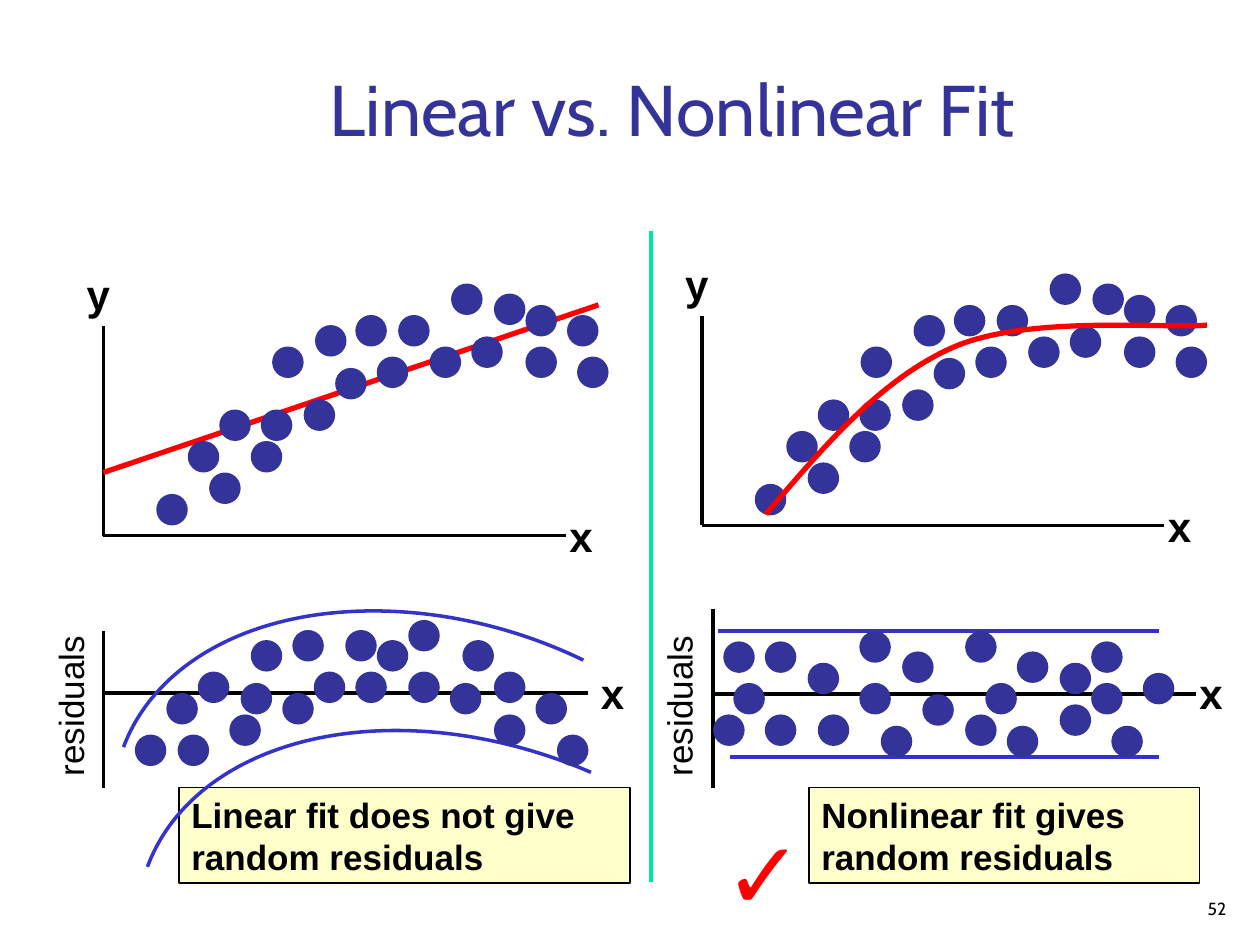
from dataclasses import dataclass

from lxml.etree import SubElement
from pptx import Presentation
from pptx.dml.color import RGBColor
from pptx.enum.shapes import MSO_CONNECTOR, MSO_SHAPE
from pptx.enum.text import MSO_ANCHOR, PP_ALIGN
from pptx.oxml.ns import qn
from pptx.util import Inches, Pt


@dataclass(frozen=True)
class Theme:
    black: str = "000000"
    navy: str = "333399"
    blue: str = "3333CC"
    red: str = "FF0000"
    green: str = "00E4A8"
    cream: str = "FFFFCC"
    body: str = "Arial"
    head: str = "Cabin"
    title: int = 41
    check: int = 54
    axis: int = 24
    note: int = 20
    page: int = 10


THEME = Theme()
DOT = 0.25

# Left and top of each dot
FIT_DOTS = [
    (1.24, 3.92), (1.66, 3.75), (3.16, 2.5), (3.41, 2.75), (3.92, 2.33),
    (1.99, 3.5), (3.74, 2.67), (4.17, 2.75), (4.17, 2.42), (4.5, 2.5),
    (3.58, 2.25), (2.66, 2.92), (2.82, 2.5), (2.5, 2.58), (1.49, 3.5),
    (1.74, 3.25), (2.07, 3.25), (2.99, 2.83), (4.58, 2.83), (2.41, 3.17),
]
CURVED_DOTS = [
    (1.07, 5.83), (1.41, 5.83), (2.99, 5.08), (3.24, 4.92), (3.57, 5.42),
    (1.82, 5.67), (3.67, 5.08), (3.92, 5.67), (3.92, 5.33), (4.25, 5.5),
    (3.24, 5.33), (2.49, 5.33), (2.74, 5), (2.32, 5), (1.32, 5.5),
    (1.57, 5.33), (1.91, 5.42), (2.82, 5.33), (1.99, 5.08), (4.42, 5.83),
    (2.24, 5.5),
]
RANDOM_DOTS = [
    (6.41, 5.26), (6.07, 5.09), (5.66, 5.67), (5.82, 5.42), (5.74, 5.09),
    (6.82, 5.42), (6.82, 5.01), (6.07, 5.67), (7.66, 5.01), (7.16, 5.17),
    (6.99, 5.76), (6.49, 5.67), (8.41, 5.26), (7.66, 5.67), (7.32, 5.51),
    (8.41, 5.59), (7.82, 5.42), (7.99, 5.76), (8.07, 5.17), (8.82, 5.76),
    (8.66, 5.09), (9.07, 5.34), (8.66, 5.42),
]
BANDS = [
    [(0.98, 5.93), (1.18, 5.4), (1.7, 5.03), (2.39, 4.9),
     (3.09, 4.77), (3.91, 4.89), (4.63, 5.24)],
    [(1.17, 6.88), (1.36, 6.37), (1.85, 6), (2.52, 5.86),
     (3.19, 5.72), (3.97, 5.82), (4.69, 6.13)],
]
FIT_CURVE = [(6.08, 4.08), (6.54, 3.54), (7, 3), (7.58, 2.75),
             (8.17, 2.5), (9.25, 2.61), (9.58, 2.58)]


def rgb(color):
    return RGBColor.from_string(color)


def stroke(shape, color, width):
    shape.line.color.rgb = rgb(color)
    shape.line.width = Pt(width)


def write(shape, text, size, color=THEME.black, font=THEME.body, bold=False,
          align=PP_ALIGN.LEFT, anchor=MSO_ANCHOR.TOP):
    frame = shape.text_frame
    frame.word_wrap = True
    frame.vertical_anchor = anchor
    para = frame.paragraphs[0]
    para.text = text
    para.alignment = align
    para.font.name = font
    para.font.size = Pt(size)
    para.font.bold = bold
    para.font.color.rgb = rgb(color)


def add_text(slide, box, text, size, **style):
    shape = slide.shapes.add_textbox(*map(Inches, box))
    write(shape, text, size, **style)
    return shape


def add_note(slide, box, text):
    shape = slide.shapes.add_shape(MSO_SHAPE.RECTANGLE, *map(Inches, box))
    shape.shadow.inherit = False
    shape.fill.solid()
    shape.fill.fore_color.rgb = rgb(THEME.cream)
    stroke(shape, THEME.black, 1)
    write(shape, text, THEME.note, bold=True)


def add_line(slide, start, end, color=THEME.black, width=2):
    line = slide.shapes.add_connector(
        MSO_CONNECTOR.STRAIGHT, *map(Inches, (*start, *end)))
    stroke(line, color, width)
    SubElement(line._element.spPr, qn("a:effectLst"))


def add_curve(slide, points, color, width):
    """Draw joined cubic curves: a start, then two controls and an end each."""
    start, *rest = [(Inches(x), Inches(y)) for x, y in points]
    pen = slide.shapes.build_freeform(*start)
    pen.add_line_segments(rest, close=False)
    curve = pen.convert_to_shape()
    curve.shadow.inherit = False
    curve.fill.background()
    stroke(curve, color, width)
    steps = list(curve._element.iter(qn("a:lnTo")))
    track = steps[0].getparent()
    for i in range(0, len(steps), 3):
        bend = SubElement(track, qn("a:cubicBezTo"))
        for step in steps[i:i + 3]:
            bend.append(step[0])
            track.remove(step)


def add_dots(slide, spots):
    for x, y in spots:
        dot = slide.shapes.add_shape(
            MSO_SHAPE.OVAL, *map(Inches, (x, y, DOT, DOT)))
        dot.shadow.inherit = False
        dot.fill.solid()
        dot.fill.fore_color.rgb = rgb(THEME.navy)
        dot.line.fill.background()


def add_label(slide, x, y, text):
    add_text(slide, (x, y, 0.44, 0.5), text, THEME.axis, bold=True)


def add_axes(slide, dx, dy):
    """Draw the axes of a fit plot, moved by dx and dy from the left one."""
    x, top, base = 0.82 + dx, 2.59 + dy, 4.25 + dy
    add_line(slide, (x, top), (x, base))
    add_line(slide, (x, base), (x + 3.67, base))
    add_label(slide, x - 0.23, top - 0.51, "y")
    add_label(slide, x + 3.6, base - 0.25, "x")


def add_rest(slide, x, top, mid, end, name, mark):
    """Draw the axes of a residual plot; name and mark are label lefts."""
    add_line(slide, (x, top), (x, 6.25))
    add_line(slide, (x, mid), (end, mid))
    label = add_text(slide, (name, 5.33, 1.43, 0.43), "residuals", THEME.note)
    label.rotation = 270
    add_label(slide, mark, 5.25, "x")


def draw_left(slide):
    add_note(slide, (1.42, 6.25, 3.58, 0.76),
             "Linear fit does not give random residuals")
    add_rest(slide, 0.82, 5.01, 5.5, 4.67, -0.16, 4.67)
    for band in BANDS:
        add_curve(slide, band, THEME.blue, 2)
    add_dots(slide, CURVED_DOTS)
    add_axes(slide, 0, 0)
    add_line(slide, (0.82, 3.75), (4.75, 2.42), THEME.red, 3)
    add_dots(slide, FIT_DOTS + [(2.16, 2.75)])


def draw_right(slide):
    dx, dy = 4.75, -0.08
    add_note(slide, (6.42, 6.25, 3.1, 0.76),
             "Nonlinear fit gives random residuals")
    add_text(slide, (5.65, 6.42, 1.43, 1), "✓", THEME.check, color=THEME.red)
    add_rest(slide, 5.66, 4.83, 5.51, 9.49, 4.67, 9.42)
    for x, y in [(5.7, 5.01), (5.79, 6.01)]:
        add_line(slide, (x, y), (9.2, y), THEME.blue)
    add_dots(slide, RANDOM_DOTS)
    add_axes(slide, dx, dy)
    add_dots(slide, [(x + dx, y + dy) for x, y in FIT_DOTS] + [(6.83, 2.75)])
    add_curve(slide, FIT_CURVE, THEME.red, 3)


def main():
    deck = Presentation()
    deck.slide_width, deck.slide_height = Inches(10), Inches(7.5)
    slide = deck.slides.add_slide(deck.slide_layouts[6])
    add_text(slide, (1.08, 0.42, 8.52, 0.83), "Linear vs. Nonlinear Fit",
             THEME.title, color=THEME.navy, font=THEME.head,
             align=PP_ALIGN.CENTER, anchor=MSO_ANCHOR.BOTTOM)
    draw_left(slide)
    add_line(slide, (5.17, 1.83), (5.17, 7), THEME.green, 2.25)
    draw_right(slide)
    add_text(slide, (7.75, 7, 2.08, 0.34), "52", THEME.page, font=THEME.head,
             align=PP_ALIGN.RIGHT, anchor=MSO_ANCHOR.BOTTOM)
    deck.save("out.pptx")


if __name__ == "__main__":
    main()
